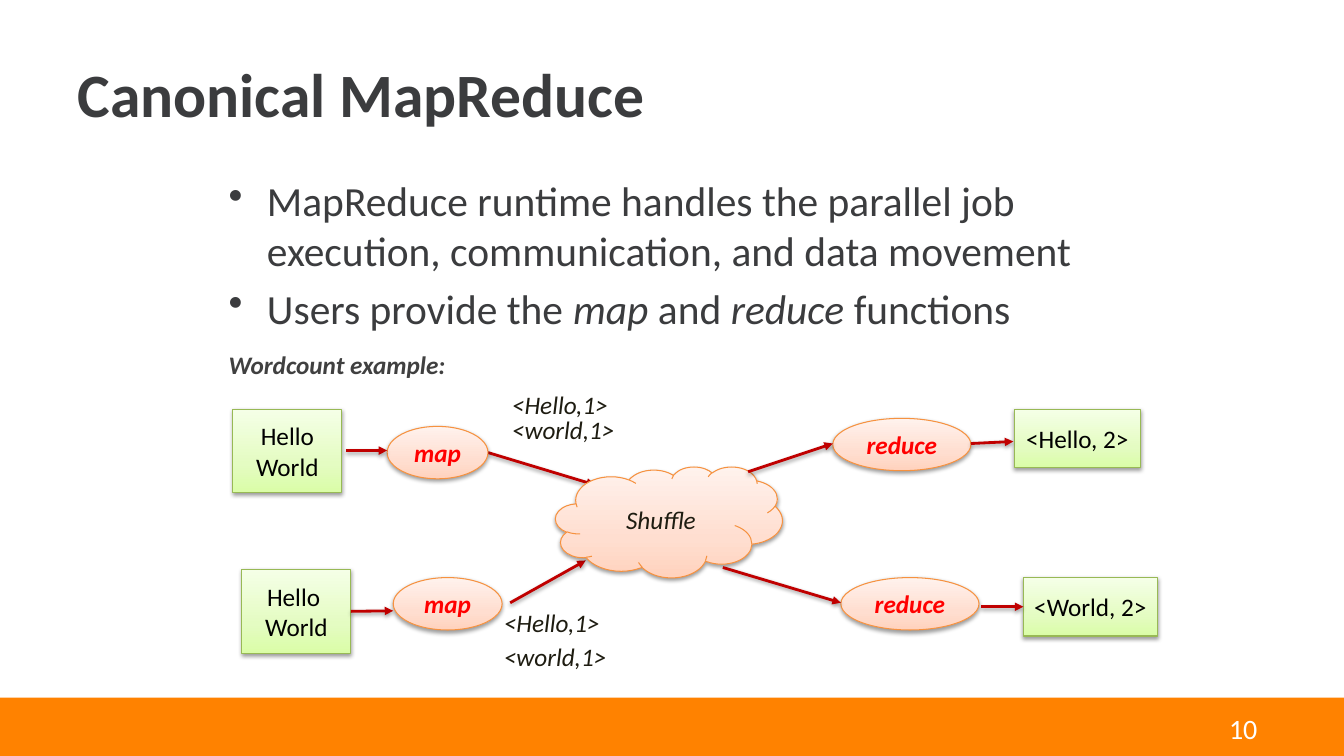
from dataclasses import dataclass

from pptx import Presentation
from pptx.dml.color import RGBColor
from pptx.enum.shapes import MSO_CONNECTOR, MSO_SHAPE
from pptx.enum.text import MSO_ANCHOR, PP_ALIGN
from pptx.oxml import parse_xml
from pptx.oxml.ns import nsdecls, qn
from pptx.util import Inches, Pt

RECT, OVAL, CLOUD = MSO_SHAPE.RECTANGLE, MSO_SHAPE.OVAL, MSO_SHAPE.CLOUD
STRAIGHT = MSO_CONNECTOR.STRAIGHT
TOP, MIDDLE = MSO_ANCHOR.TOP, MSO_ANCHOR.MIDDLE
LEFT, CENTER, RIGHT = PP_ALIGN.LEFT, PP_ALIGN.CENTER, PP_ALIGN.RIGHT
LEFT_SIDE, RIGHT_SIDE = 1, 3

GRAY, INK, BLACK, RED = "3B3C3E", "1E1C11", "000000", "FF0000"
ORANGE, WHITE, ARROW_RED = "FF8200", "FFFFFF", "C00000"


@dataclass(frozen=True)
class Style:
    size: float
    color: str
    bold: bool = False
    italic: bool = False
    align: PP_ALIGN = LEFT
    anchor: MSO_ANCHOR = TOP


@dataclass(frozen=True)
class Look:
    """Gradient stops (bottom to top) and outline of a node."""
    stops: tuple[tuple[int, str], ...]
    outline: str


@dataclass(frozen=True)
class Node:
    kind: MSO_SHAPE
    left: float
    top: float
    width: float
    height: float
    text: str
    look: Look
    style: Style


@dataclass(frozen=True)
class Label:
    left: float
    top: float
    width: float
    height: float
    text: str
    style: Style


@dataclass(frozen=True)
class Arrow:
    start: tuple[float, float]
    end: tuple[float, float]
    begin_node: str = ""
    end_node: str = ""


PEACH = Look(((0, "FFD2BD"), (35, "FFDED0"), (100, "FFF2ED")), "F69240")
GREEN = Look(((0, "DAFDA7"), (35, "E4FCC2"), (100, "F5FFE7")), "98B955")
DATA = Style(18, BLACK, align=CENTER, anchor=MIDDLE)
TASK = Style(18, RED, bold=True, italic=True, align=CENTER, anchor=MIDDLE)
SHUFFLE = Style(18, INK, italic=True, align=CENTER, anchor=MIDDLE)
PAIR = Style(18, INK, italic=True)
BODY = Style(29.6, GRAY)

NODES = {
    "map 1": Node(OVAL, 3.84, 4.23, 1, 0.52, "map", PEACH, TASK),
    "map 2": Node(OVAL, 3.9, 5.73, 1.08, 0.52, "map", PEACH, TASK),
    "shuffle": Node(CLOUD, 5.51, 4.63, 2.25, 1.1, "Shuffle", PEACH, SHUFFLE),
    "reduce 1": Node(OVAL, 8.26, 4.15, 1.37, 0.52, "reduce", PEACH, TASK),
    "reduce 2": Node(OVAL, 8.34, 5.73, 1.37, 0.52, "reduce", PEACH, TASK),
    "input 1": Node(RECT, 2.31, 4.06, 1.08, 0.83, "Hello\nWorld", GREEN, DATA),
    "input 2": Node(RECT, 2.4, 5.65, 1.08, 0.83, "Hello \nWorld", GREEN, DATA),
    "output 1": Node(RECT, 10.06, 4.06, 1.25, 0.58, "<Hello, 2>", GREEN, DATA),
    "output 2": Node(RECT, 10.15, 5.73, 1.33, 0.58, "<World, 2>", GREEN, DATA),
}
ARROWS_BEHIND = [
    Arrow((4.84, 4.49), (5.9, 4.81)),
    Arrow((5.06, 5.98), (5.81, 5.56)),
]
ARROWS_IN_FRONT = [
    Arrow((3.43, 4.47), (3.84, 4.47)),
    Arrow((3.48, 6.06), (3.9, 6.06), begin_node="input 2"),
    Arrow((9.63, 4.4), (10.05, 4.38)),
    Arrow((9.73, 6.02), (10.15, 6.02), end_node="output 2"),
    Arrow((7.42, 4.68), (8.26, 4.4)),
    Arrow((7.17, 5.63), (8.34, 5.98)),
]
LABELS = [
    Label(0.67, 0.3, 12, 1.25, "Canonical MapReduce",
          Style(44, GRAY, bold=True, anchor=MIDDLE)),
    Label(4.98, 3.81, 1.23, 0.4, "<Hello,1>", PAIR),
    Label(4.98, 4.06, 1.23, 0.4, "<world,1>", PAIR),
    Label(4.9, 5.98, 1.23, 0.4, "<Hello,1>", PAIR),
    Label(4.9, 6.31, 1.23, 0.4, "<world,1>", PAIR),
    Label(2.17, 3.42, 2.46, 0.4, "Wordcount example:",
          Style(18, "404040", bold=True, italic=True)),
    Label(10.24, 7.01, 2.33, 0.4, "10", Style(20, WHITE, align=RIGHT)),
]
# Each bullet is a list of (text, italic) spans
BULLETS = [
    [("MapReduce runtime handles the parallel job execution, "
      "communication, and data movement", False)],
    [("Users provide the ", False), ("map", True), (" and ", False),
     ("reduce", True), (" functions", False)],
]


def rgb(color: str) -> RGBColor:
    return RGBColor.from_string(color)


def soft_shadow():
    return parse_xml(
        f'<a:outerShdw {nsdecls("a")} blurRad="{Pt(3.1)}" dist="{Pt(1.6)}" '
        'dir="5400000" rotWithShape="0"><a:srgbClr val="000000">'
        '<a:alpha val="38000"/></a:srgbClr></a:outerShdw>')


def set_font(para, style: Style) -> None:
    para.alignment = style.align
    font = para.font
    font.name, font.size = "Calibri", Pt(style.size)
    font.bold, font.italic = style.bold, style.italic
    font.color.rgb = rgb(style.color)


def write(frame, text: str, style: Style, wrap: bool) -> None:
    frame.word_wrap = wrap
    frame.vertical_anchor = style.anchor
    frame.text = text
    for para in frame.paragraphs:
        set_font(para, style)


def add_box(page, left: float, top: float, width: float, height: float):
    return page.shapes.add_textbox(
        Inches(left), Inches(top), Inches(width), Inches(height))


def add_label(page, label: Label) -> None:
    box = add_box(page, label.left, label.top, label.width, label.height)
    write(box.text_frame, label.text, label.style, True)


def add_bullets(page) -> None:
    frame = add_box(page, 2.17, 1.69, 9, 1.42).text_frame
    frame.word_wrap = True
    for index, spans in enumerate(BULLETS):
        para = frame.add_paragraph() if index else frame.paragraphs[0]
        set_font(para, BODY)
        para.space_before = Pt(5.9)
        props = para._p.get_or_add_pPr()
        props.set("marL", str(Inches(0.38)))
        props.set("indent", str(Inches(-0.38)))
        props.find(qn("a:defRPr")).addprevious(
            parse_xml(f'<a:buChar {nsdecls("a")} char="•"/>'))
        for text, italic in spans:
            span = para.add_run()
            span.text = text
            span.font.italic = italic


def add_node(page, node: Node):
    shape = page.shapes.add_shape(node.kind, Inches(node.left), Inches(node.top),
                                  Inches(node.width), Inches(node.height))
    # The theme style would force white text
    shape._element.remove(shape._element.find(qn("p:style")))
    shape.fill.gradient()
    shape.fill.gradient_angle = 90
    stops = shape._element.spPr.find(f'.//{qn("a:gsLst")}')
    stops[:] = [parse_xml(f'<a:gs {nsdecls("a")} pos="{place * 1000}">'
                          f'<a:srgbClr val="{color}"/></a:gs>')
                for place, color in node.look.stops]
    shape.line.color.rgb = rgb(node.look.outline)
    shape.line.width = Pt(0.75)
    shape.shadow.inherit = False
    shape._element.spPr.find(qn("a:effectLst")).append(soft_shadow())
    write(shape.text_frame, node.text, node.style, False)
    return shape


def add_arrow(page, arrow: Arrow, shapes: dict) -> None:
    line = page.shapes.add_connector(
        STRAIGHT, *(Inches(value) for value in arrow.start + arrow.end))
    if arrow.begin_node:
        line.begin_connect(shapes[arrow.begin_node], RIGHT_SIDE)
    if arrow.end_node:
        line.end_connect(shapes[arrow.end_node], LEFT_SIDE)
    line.line.color.rgb = rgb(ARROW_RED)
    line.line.width = Pt(2)
    props = line._element.spPr
    props.find(qn("a:ln")).append(
        parse_xml(f'<a:tailEnd {nsdecls("a")} type="triangle"/>'))
    effects = parse_xml(f'<a:effectLst {nsdecls("a")}/>')
    effects.append(soft_shadow())
    props.append(effects)


def main() -> None:
    deck = Presentation()
    deck.slide_width, deck.slide_height = Inches(13.33), Inches(7.5)
    page = deck.slides.add_slide(deck.slide_layouts[6])

    # Footer band
    band = page.shapes.add_shape(RECT, 0, Inches(6.92), Inches(13.33), Inches(0.58))
    band.fill.solid()
    band.fill.fore_color.rgb = rgb(ORANGE)
    band.line.fill.background()
    band.shadow.inherit = False

    # Dataflow diagram
    for arrow in ARROWS_BEHIND:
        add_arrow(page, arrow, {})
    shapes = {name: add_node(page, node) for name, node in NODES.items()}
    for arrow in ARROWS_IN_FRONT:
        add_arrow(page, arrow, shapes)

    # Title, bullets and labels
    add_bullets(page)
    for label in LABELS:
        add_label(page, label)
    deck.save("out.pptx")


if __name__ == "__main__":
    main()
